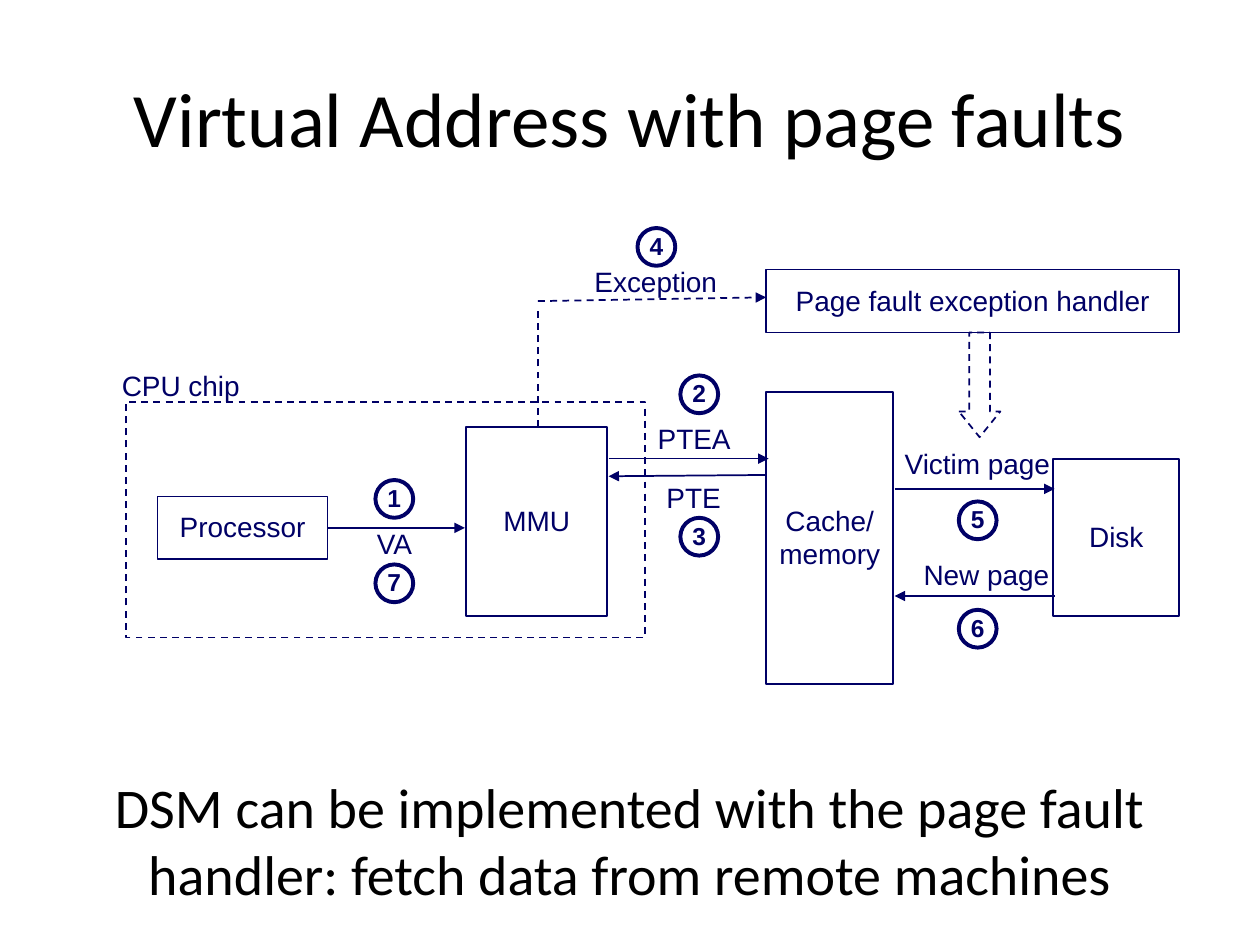
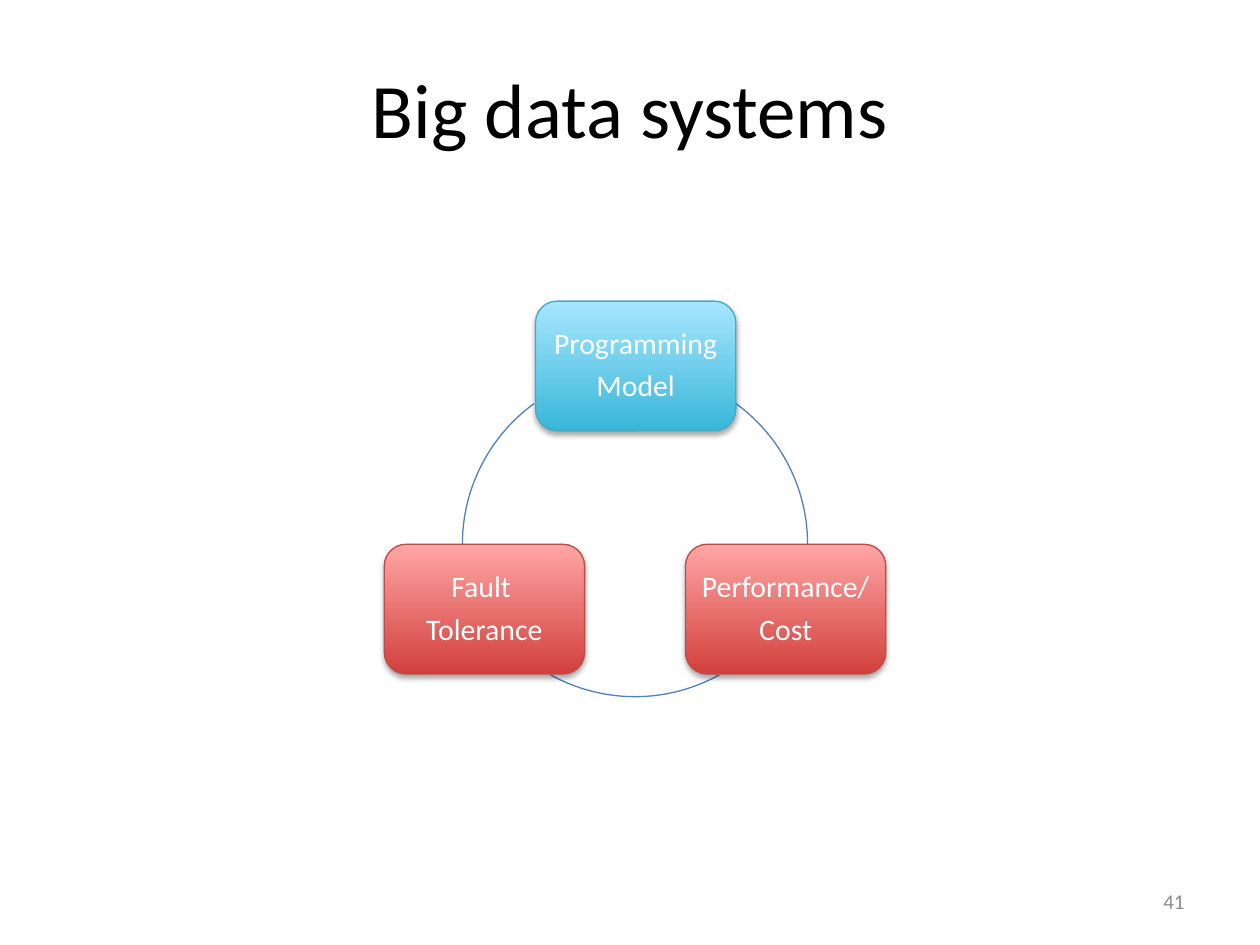
from dataclasses import dataclass
from typing import Any

from lxml import etree
from pptx import Presentation
from pptx import util as u
from pptx.dml.color import RGBColor
from pptx.enum import dml, shapes, text
from pptx.oxml import ns

PX = 9144  # 100 px to the inch
NAVY, BLACK, WHITE, GREY, BLUE = "000066", "000000", "FFFFFF", "8C8C8C", "4F81BD"
CYAN = ("39B7D8", "A7E6FF", "46AAC5")  # bottom, top, edge
RED = ("D1403C", "FFA6A5", "BF4C48")
KIND = shapes.MSO_SHAPE
MID, LEFT, RIGHT = text.PP_ALIGN.CENTER, text.PP_ALIGN.LEFT, text.PP_ALIGN.RIGHT


def px(*vals):
    return [u.Emu(v * PX) for v in vals]


def rgb(code):
    return RGBColor.from_string(code)


def add(parent, tag, **attrs):
    return etree.SubElement(parent, ns.qn(tag), attrs)


def write(shape, words, size, color, font="Calibri", align=MID, bold=False,
          lead=None, after=0, inset=(10, 5), wrap=True, top=False):
    frame = shape.text_frame
    frame.text = words
    frame.word_wrap = wrap
    frame.vertical_anchor = text.MSO_ANCHOR.TOP if top else text.MSO_ANCHOR.MIDDLE
    frame.margin_left = frame.margin_right = px(inset[0])[0]
    frame.margin_top = frame.margin_bottom = px(inset[1])[0]
    for para in frame.paragraphs:
        para.alignment = align
        para.line_spacing = lead
        para.space_after = u.Pt(after)
        for run in para.runs:
            run.font.name, run.font.size, run.font.bold = font, u.Pt(size), bold
            run.font.color.rgb = rgb(color)


def stroke(line, color, width, dash=False):
    line.color.rgb = rgb(color)
    line.width = u.Pt(width)
    if dash:
        line.dash_style = dml.MSO_LINE.DASH


def title(slide, words, y):
    head = slide.shapes.title
    head.left, head.top, head.width, head.height = px(50, y, 900, 125)
    write(head, words, 44, BLACK)


def note(slide, box, words, size, color, align=MID):
    write(slide.shapes.add_textbox(*px(*box)), words, size, color, align=align)


@dataclass
class Area:
    """A region of the diagram; its parts are placed from its corner."""
    slide: Any
    x: int
    y: int

    def at(self, x, y, *size):
        return px(self.x + x, self.y + y, *size)

    def box(self, x, y, w, h, words="", kind=KIND.RECTANGLE, width=1,
            dash=False, size=16, bold=False):
        part = self.slide.shapes.add_shape(kind, *self.at(x, y, w, h))
        part.shadow.inherit = False
        part.fill.background()
        stroke(part.line, NAVY, width, dash)
        if words:
            write(part, words, size, NAVY, "Arial", bold=bold, lead=0.98, wrap=False)
        return part

    def step(self, x, y, num):
        self.box(x, y, 30, 30, str(num), KIND.OVAL, 2.25, size=14, bold=True)

    def label(self, x, y, w, words):
        # Narrow side insets keep the words on one line
        part = self.slide.shapes.add_textbox(*self.at(x, y, w, 36))
        write(part, words, 16, NAVY, "Arial", lead=0.98, inset=(4, 5), wrap=False)

    def tag(self, x, y, w, words):
        part = self.slide.shapes.add_textbox(*self.at(x, y, w, 29))
        write(part, words, 16, NAVY, "Arial", LEFT, lead=0.83,
              inset=(7, 3), wrap=False, top=True)

    def line(self, start, end, dash=False, arrow=True):
        part = self.slide.shapes.add_connector(
            shapes.MSO_CONNECTOR.STRAIGHT, *self.at(*start), *self.at(*end))
        stroke(part.line, NAVY, 1, dash)
        props = part._element.spPr
        if arrow:
            add(props.find(ns.qn("a:ln")), "a:tailEnd", type="triangle")
        add(props, "a:effectLst")


def fault(area):
    area.box(181, 33, 328, 50, "Page fault exception handler")
    down = area.box(334, 83, 33, 83, kind=KIND.DOWN_ARROW, dash=True)
    down.adjustments[1] = 0.62
    area.line((0, 158), (0, 62), dash=True, arrow=False)
    area.line((0, 58), (181, 55), dash=True)
    area.label(35, 25, 117, "Exception")
    area.step(79, 0, 4)


def chip(area):
    area.box(0, 0, 412, 187, dash=True)
    area.label(-13, -30, 113, "CPU chip")
    area.box(25, 75, 135, 50, "Processor")
    area.box(270, 20, 112, 150, "MMU")
    area.line((160, 100), (269, 100))
    area.tag(192, 100, 42, "VA")
    area.step(198, 62, 1)
    area.step(198, 129, 7)


def lookup(area):
    area.step(57, 0, 2)
    area.tag(32, 38, 72, "PTEA")
    area.line((0, 66), (127, 66))
    area.line((124, 79), (0, 80))
    area.label(36, 80, 63, "PTE")
    area.step(57, 113, 3)


def store(area):
    area.box(0, 0, 101, 232, "Cache/\nmemory")
    area.box(228, 53, 100, 125, "Disk")
    area.line((102, 77), (229, 77))
    area.line((229, 162), (102, 162))
    area.tag(103, 45, 131, "Victim page")
    area.tag(118, 133, 115, "New page")
    area.step(153, 87, 5)
    area.step(153, 173, 6)


def card(slide, x, y, words, tones):
    low, high, edge = tones
    part = slide.shapes.add_shape(KIND.ROUNDED_RECTANGLE, *px(x, y, 159, 103))
    part.fill.gradient()
    part.fill.gradient_angle = 90
    for stop, tone, place in zip(part.fill.gradient_stops, (low, high), (0, 1)):
        stop.color.rgb, stop.position = rgb(tone), place
    stroke(part.line, edge, 0.75)
    # Soft shadow below the card
    part.shadow.inherit = False
    glow = add(part._element.spPr.find(ns.qn("a:effectLst")), "a:outerShdw",
               blurRad="40000", dist="23000", dir="5400000", rotWithShape="0")
    add(add(glow, "a:srgbClr", val=BLACK), "a:alpha", val="35000")
    write(part, words, 17, WHITE, lead=0.9, after=6, inset=(7, 7), wrap=False)


def arc(slide, x, y, start, end):
    part = slide.shapes.add_shape(KIND.ARC, *px(x, y, 276, 276))
    part.shadow.inherit = False
    part.fill.background()
    stroke(part.line, BLUE, 0.75)
    for i, deg in enumerate((start, end)):
        part.adjustments[i] = deg * 0.6  # 60000 units to the degree


def cycle(slide, x, y):
    arc(slide, x + 60, y + 55, 306, 0)
    arc(slide, x + 61, y + 38, 61, 119)
    arc(slide, x + 62, y + 55, 180, 234)
    card(slide, x + 120, y, "Programming\nModel", CYAN)
    card(slide, x + 239, y + 193, "Performance/\nCost", RED)
    card(slide, x, y + 193, "Fault \nTolerance", RED)


def main():
    deck = Presentation()
    deck.slide_width, deck.slide_height = px(1000, 750)
    plain = deck.slide_layouts[5]

    # Page faults
    slide = deck.slides.add_slide(plain)
    title(slide, "Virtual Address with page faults", 30)
    fault(Area(slide, 427, 181))
    chip(Area(slide, 100, 319))
    lookup(Area(slide, 483, 298))
    store(Area(slide, 608, 311))
    note(slide, (50, 604, 900, 125), "DSM can be implemented with the page fault "
         "handler: fetch data from remote machines", 32, BLACK)

    # Big data
    slide = deck.slides.add_slide(plain)
    title(slide, "Big data systems", 23)
    cycle(slide, 305, 239)
    note(slide, (717, 695, 233, 40), "41", 12, GREY, RIGHT)
    deck.save("out.pptx")


if __name__ == "__main__":
    main()
